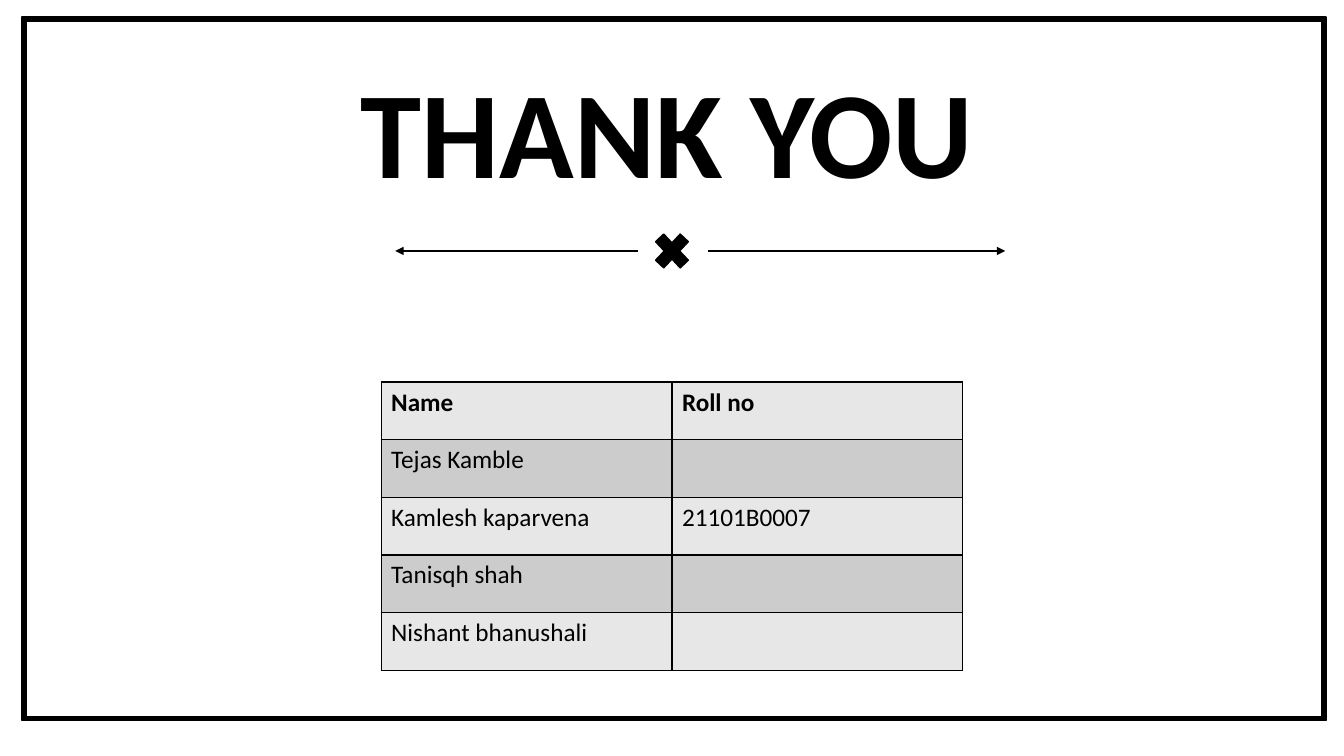
import pptx
import pptx.dml.color
import pptx.enum.shapes
import pptx.enum.text
import pptx.oxml
import pptx.oxml.ns
import pptx.util
from pptx.util import Inches

COLOURS = {"ink": "000000", "light_row": "E7E7E7", "dark_row": "CCCCCC"}
MEMBERS = [
    ("Name", "Roll no"),
    ("Tejas Kamble", ""),
    ("Kamlesh kaparvena", "21101B0007"),
    ("Tanisqh shah", ""),
    ("Nishant bhanushali", ""),
]


def rgb(colour):
    return pptx.dml.color.RGBColor.from_string(COLOURS[colour])


def drawing_element(tag, attributes="", content=""):
    namespace = pptx.oxml.ns.nsdecls("a")
    return pptx.oxml.parse_xml(
        f"<a:{tag} {namespace} {attributes}>{content}</a:{tag}>")


class ClosingSlide:
    font = "Calibri"

    def __init__(self, slide):
        self.slide = slide

    def text_run(self, paragraph, text, size, bold=False):
        run = paragraph.add_run()
        run.text = text
        run.font.name = self.font
        run.font.size = pptx.util.Pt(size)
        run.font.bold = bold
        run.font.color.rgb = rgb("ink")

    def title(self, text, left, top, width, height):
        heading = self.slide.shapes.title
        heading.left, heading.top = Inches(left), Inches(top)
        heading.width, heading.height = Inches(width), Inches(height)
        frame = heading.text_frame
        frame.word_wrap = True
        frame.auto_size = pptx.enum.text.MSO_AUTO_SIZE.NONE
        frame.vertical_anchor = pptx.enum.text.MSO_ANCHOR.TOP
        paragraph = frame.paragraphs[0]
        paragraph.alignment = pptx.enum.text.PP_ALIGN.LEFT
        paragraph.line_spacing = 1.0
        self.text_run(paragraph, text, 88, bold=True)

    def solid(self, preset, left, top, width, height):
        shape = self.slide.shapes.add_shape(
            preset, Inches(left), Inches(top), Inches(width), Inches(height))
        shape.shadow.inherit = False
        shape.fill.solid()
        shape.fill.fore_color.rgb = rgb("ink")
        shape.line.color.rgb = rgb("ink")
        shape.line.width = pptx.util.Pt(1)
        return shape

    def arrow(self, start, end, y):
        connector = self.slide.shapes.add_connector(
            pptx.enum.shapes.MSO_CONNECTOR.STRAIGHT,
            Inches(start), Inches(y), Inches(end), Inches(y))
        connector.line.color.rgb = rgb("ink")
        connector.line.width = pptx.util.Pt(1.5)
        connector.line._get_or_add_ln().append(
            drawing_element("tailEnd", 'type="triangle"'))
        connector._element.spPr.append(drawing_element("effectLst"))

    def border(self, cell):
        properties = cell._tc.get_or_add_tcPr()
        ink = f'<a:solidFill><a:srgbClr val="{COLOURS["ink"]}"/></a:solidFill>'
        width = f'w="{pptx.util.Pt(1)}"'
        for position, side in enumerate(("lnL", "lnR", "lnT", "lnB")):
            properties.insert(position, drawing_element(side, width, ink))

    def table(self, rows, left, top, width, height):
        grid = self.slide.shapes.add_table(
            len(rows), len(rows[0]), Inches(left), Inches(top),
            Inches(width), Inches(height)).table
        for r, texts in enumerate(rows):
            for c, text in enumerate(texts):
                cell = grid.cell(r, c)
                cell.fill.solid()
                cell.fill.fore_color.rgb = rgb("dark_row" if r % 2 else "light_row")
                self.border(cell)
                if text:
                    self.text_run(cell.text_frame.paragraphs[0], text, 18, bold=r == 0)


def main():
    deck = pptx.Presentation()
    deck.slide_width, deck.slide_height = Inches(13.33), Inches(7.5)
    closing = ClosingSlide(deck.slides.add_slide(deck.slide_layouts[5]))
    presets = pptx.enum.shapes.MSO_SHAPE

    page_border = closing.solid(presets.FRAME, 0.22, 0.17, 12.93, 6.98)
    page_border.adjustments[0] = 0.006
    closing.title("THANK YOU", 3.48, 0.5, 6.57, 1.58)
    closing.arrow(7.02, 9.97, 2.49)
    closing.arrow(6.33, 3.92, 2.49)
    closing.solid(presets.MATH_MULTIPLY, 6.43, 2.24, 0.47, 0.5)
    closing.table(MEMBERS, 3.78, 3.79, 5.77, 2.86)

    deck.save("out.pptx")


if __name__ == "__main__":
    main()
